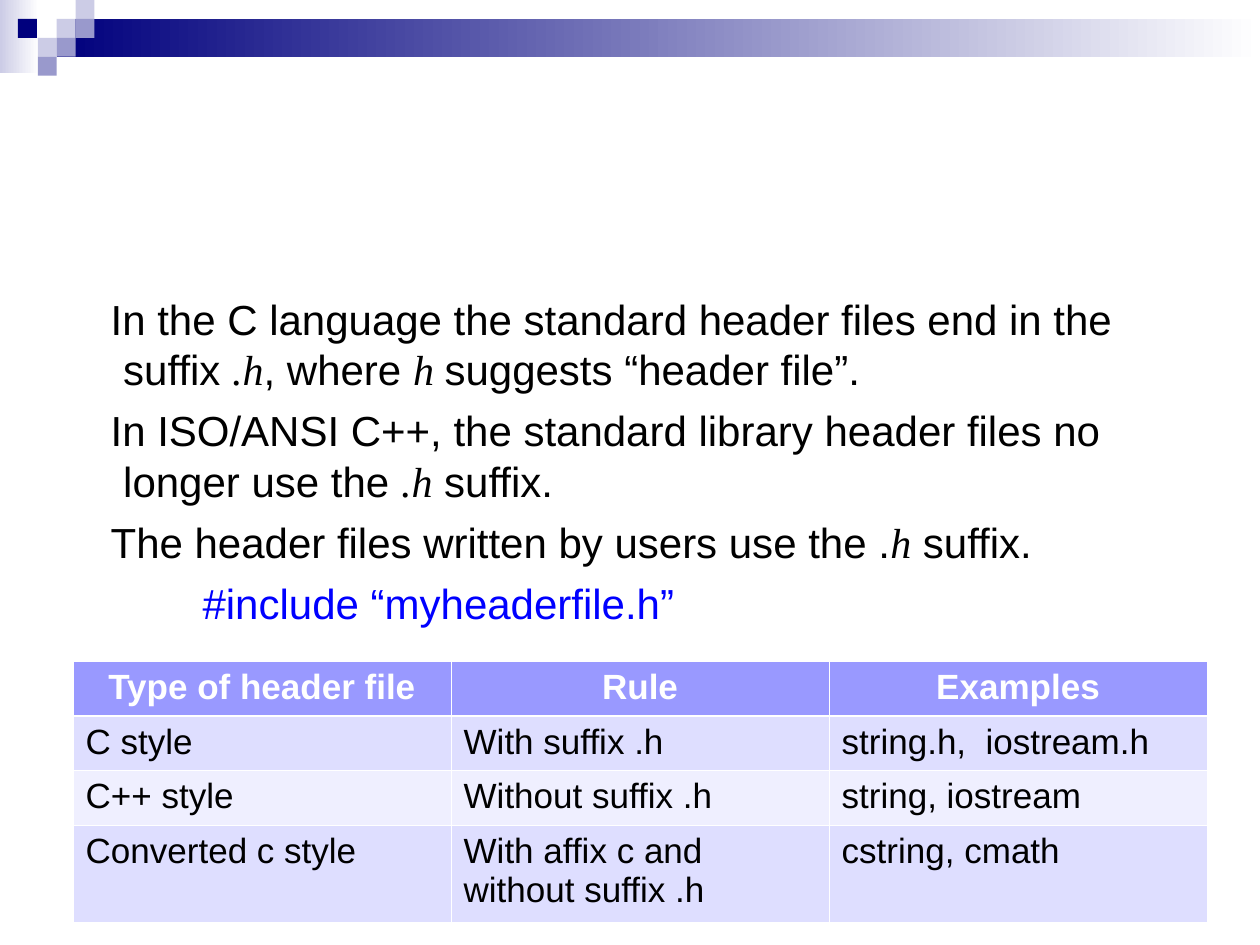
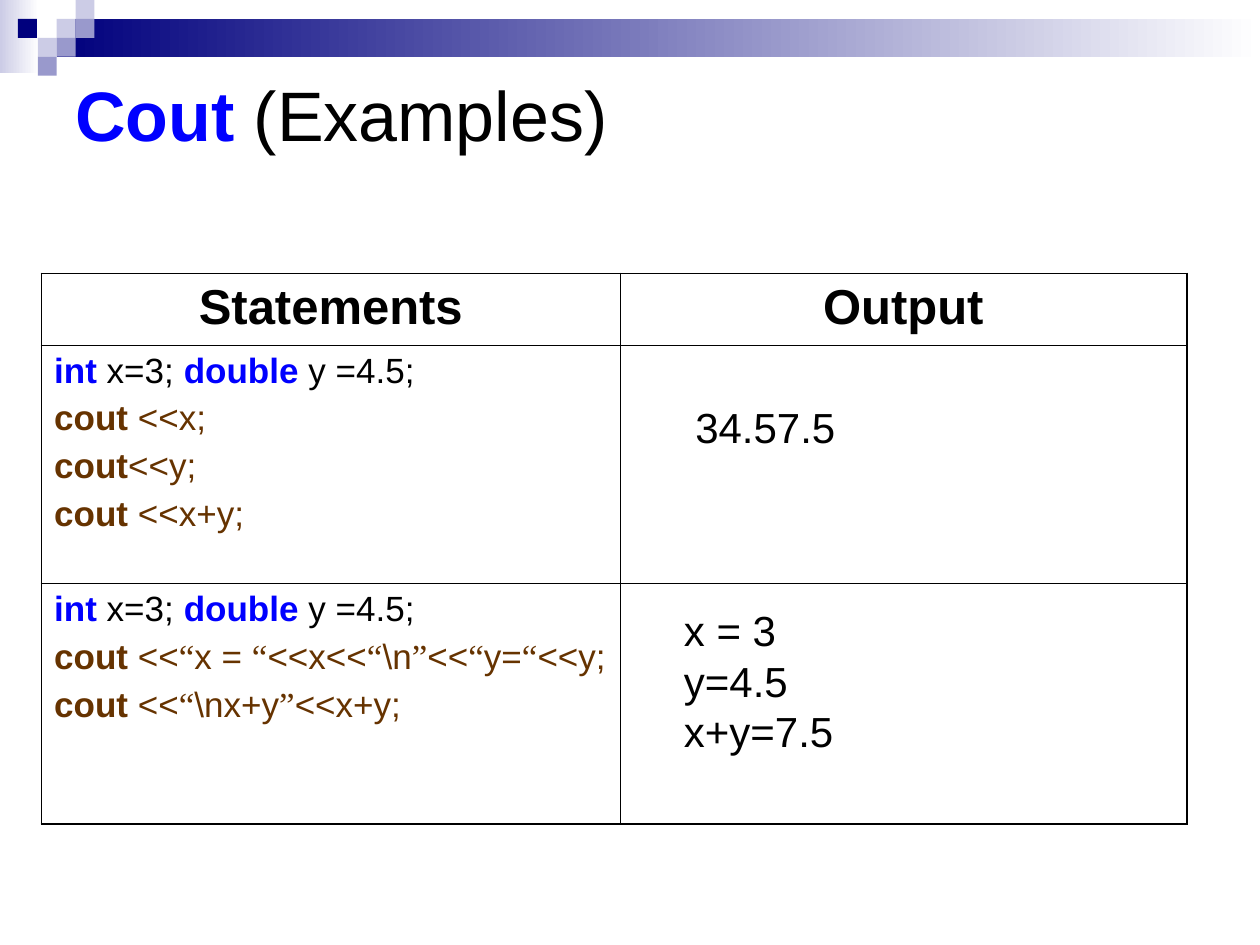
from collections import namedtuple
from itertools import groupby

from lxml.etree import SubElement
from pptx import Presentation
from pptx.dml.color import RGBColor
from pptx.enum.shapes import MSO_SHAPE
from pptx.enum.text import MSO_ANCHOR, PP_ALIGN
from pptx.oxml.ns import qn
from pptx.util import Inches, Pt

# Shared colours, fonts and run styles
NAVY, MID, PALE = "00007D", "9999CC", "CCCCE6"
WHITE, BLACK, BLUE, BROWN = "FFFFFF", "000000", "0000FF", "663300"
SANS, SERIF = "Arial", "Times New Roman"
THIN = 0.45

Style = namedtuple("Style", "color bold italic font", defaults=(BLACK, False, False, SANS))
PLAIN = Style()
BOLD = Style(bold=True)
SUFFIX = Style(italic=True, font=SERIF)
KEYWORD = Style(BLUE, bold=True)
COMMAND = Style(BROWN, bold=True)
CODE = Style(BROWN)
QUOTE = Style(BROWN, font=SERIF)


def rgb(value):
    return RGBColor.from_string(value)


# Text
def add_runs(p, runs, size):
    for text, style in runs:
        r = p.add_run()
        r.text = text
        r.font.size = Pt(size)
        r.font.name = style.font
        r.font.bold = style.bold
        r.font.italic = style.italic
        r.font.color.rgb = rgb(style.color)


def fill_text(tf, lines, size, before=0, align=PP_ALIGN.LEFT):
    for i, runs in enumerate(lines):
        p = tf.add_paragraph() if i else tf.paragraphs[0]
        p.alignment = align
        p.space_before = Pt(before)
        add_runs(p, runs, size)


def add_text(s, box, lines, size, before=0, anchor=MSO_ANCHOR.TOP):
    tf = s.shapes.add_textbox(*map(Inches, box)).text_frame
    tf.word_wrap = True
    tf.vertical_anchor = anchor
    fill_text(tf, lines, size, before)
    return tf


def set_indent(p, left, first):
    pPr = p._p.get_or_add_pPr()
    pPr.set("marL", str(Inches(left)))
    pPr.set("indent", str(Inches(first)))


def cout_line(gap, rest):
    """A cout statement whose curly quotes are set in the serif font."""
    parts = groupby(gap + rest, key=lambda ch: ch in "“”")
    return [("cout", COMMAND)] + [
        ("".join(chars), QUOTE if quoted else CODE) for quoted, chars in parts]


# Header band with its checker of small squares
def add_block(s, box, color, fade=False):
    sp = s.shapes.add_shape(MSO_SHAPE.RECTANGLE, *map(Inches, box))
    sp.shadow.inherit = False
    sp.line.fill.background()
    if fade:
        sp.fill.gradient()
        sp.fill.gradient_angle = 0
        for stop, stop_color in zip(sp.fill.gradient_stops, (color, WHITE)):
            stop.color.rgb = rgb(stop_color)
    else:
        sp.fill.solid()
        sp.fill.fore_color.rgb = rgb(color)


def add_header(s):
    add_block(s, (0, 0, 0.31, 0.58), PALE, fade=True)
    add_block(s, (0.45, 0.15, 9.55, 0.3), NAVY, fade=True)
    unit = 0.15
    squares = [(3, 1, PALE), (4, 0, PALE), (4, 1, MID), (2, 2, PALE),
               (0.95, 1, NAVY), (3, 2, MID), (2, 3, MID)]
    for col, row, color in squares:
        add_block(s, (col * unit, row * unit, unit, unit), color)


# Tables
def add_table(s, left, top, widths, heights):
    table = s.shapes.add_table(
        len(heights), len(widths), Inches(left), Inches(top),
        Inches(sum(widths)), Inches(sum(heights))).table
    table.first_row = table.horz_banding = False
    for col, width in zip(table.columns, widths):
        col.width = Inches(width)
    for row, height in zip(table.rows, heights):
        row.height = Inches(height)
    return table


def set_borders(cell, color, widths):
    """Border widths in points: left, right, top, bottom."""
    tcPr = cell._tc.get_or_add_tcPr()
    for i, (side, width) in enumerate(zip("LRTB", widths)):
        ln = SubElement(tcPr, qn(f"a:ln{side}"), w=str(Pt(width)))
        fill = SubElement(ln, qn("a:solidFill"))
        SubElement(fill, qn("a:srgbClr"), val=color)
        tcPr.insert(i, ln)


def add_rules_table(s):
    rows = [
        ("Type of header file", "Rule", "Examples"),
        ("C style", "With suffix .h", "string.h,  iostream.h"),
        ("C++ style", "Without suffix .h", "string, iostream"),
        ("Converted c style", "With affix c and without suffix .h", "cstring, cmath"),
    ]
    fills = ("9999FF", "DEDEFF", "EFEFFF", "DEDEFF")
    head_line = 1.47
    table = add_table(s, 0.58, 5.25, [3] * 3, [0.43, 0.43, 0.43, 0.77])
    for i, (texts, fill) in enumerate(zip(rows, fills)):
        style = PLAIN if i else Style(WHITE, bold=True)
        align = PP_ALIGN.LEFT if i else PP_ALIGN.CENTER
        for j, text in enumerate(texts):
            cell = table.cell(i, j)
            cell.fill.solid()
            cell.fill.fore_color.rgb = rgb(fill)
            fill_text(cell.text_frame, [[(text, style)]], 20, align=align)
            set_borders(cell, WHITE, (THIN, THIN, head_line if i == 1 else THIN,
                                      head_line if i == 0 else THIN))


def add_examples_table(s):
    declaration = [("int", KEYWORD), (" x=3; ", PLAIN),
                   ("double", KEYWORD), (" y =4.5;", PLAIN)]
    statements = [
        [declaration, cout_line(" ", "<<x;"), cout_line("", "<<y;"),
         cout_line(" ", "<<x+y;")],
        [declaration, cout_line(" ", "<<“x = “<<x<<“\\n”<<“y=“<<y;"),
         cout_line(" ", "<<“\\nx+y”<<x+y;")],
    ]
    outer = 1.08
    table = add_table(s, 0.33, 2.17, [4.59, 4.5], [0.57, 1.89, 1.91])
    for j, heading in enumerate(("Statements", "Output")):
        fill_text(table.cell(0, j).text_frame, [[(heading, BOLD)]], 28, 7, PP_ALIGN.CENTER)
    for i, lines in enumerate(statements, start=1):
        fill_text(table.cell(i, 0).text_frame, lines, 20, 5)
    for i in range(3):
        for j in range(2):
            cell = table.cell(i, j)
            cell.fill.background()
            edges = (j == 0, j == 1, i == 0, i == 2)
            set_borders(cell, BLACK, [outer if edge else THIN for edge in edges])


# Slides
def header_files_slide(s):
    lines = [
        [("In the C language the standard header files end in the suffix ", PLAIN),
         (".h", SUFFIX), (", where ", PLAIN), ("h ", SUFFIX),
         ("suggests “header file”.", PLAIN)],
        [("In ISO/ANSI C++, the standard library header files no longer use the ", PLAIN),
         (".h", SUFFIX), (" suffix.", PLAIN)],
        [("The header files written by users use the .", PLAIN),
         ("h", SUFFIX), (" suffix.", PLAIN)],
        [("#include “myheaderfile.h”", Style(BLUE))],
    ]
    tf = add_text(s, (0.5, 2.17, 9, 4.25), lines, 24, before=6)
    tf.margin_top = Inches(0.16)
    for p, first in zip(tf.paragraphs, (-0.13, -0.13, -0.13, 0.63)):
        set_indent(p, 0.38, first + (0.03 if p is not tf.paragraphs[0] and first < 0 else 0))
    add_rules_table(s)


def cout_slide(s):
    title = [("Cout ", KEYWORD), ("(Examples)", PLAIN)]
    add_text(s, (0.5, 0.5, 9, 0.8), [title], 40, anchor=MSO_ANCHOR.MIDDLE)
    add_examples_table(s)
    add_text(s, (5.42, 3.14, 3.13, 1.11), [[("34.57.5", PLAIN)]], 24)
    output = [[(line, PLAIN)] for line in ("x = 3", "y=4.5", "x+y=7.5")]
    add_text(s, (5.33, 4.75, 4, 1.91), output, 24)


def main():
    prs = Presentation()
    prs.slide_width, prs.slide_height = Inches(10), Inches(7.5)
    for build in (header_files_slide, cout_slide):
        s = prs.slides.add_slide(prs.slide_layouts[6])
        add_header(s)
        build(s)
    prs.save("out.pptx")


if __name__ == "__main__":
    main()
